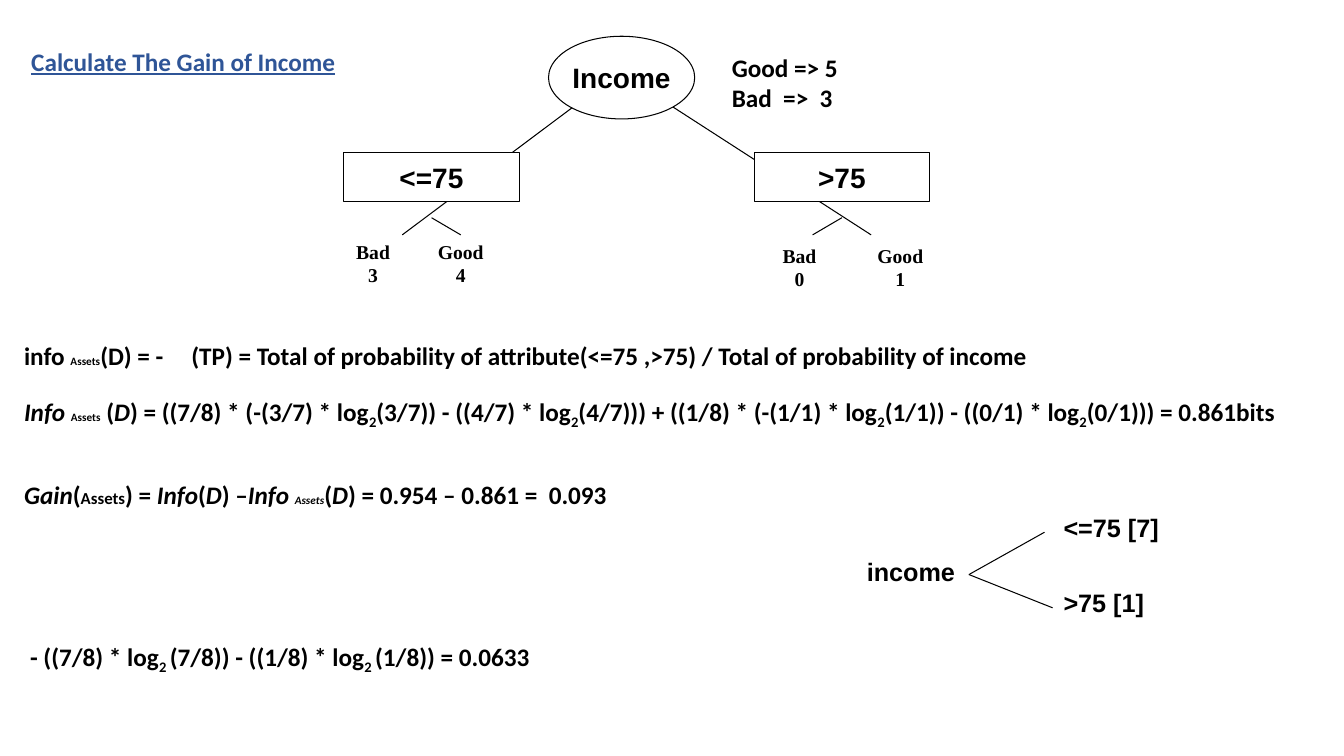
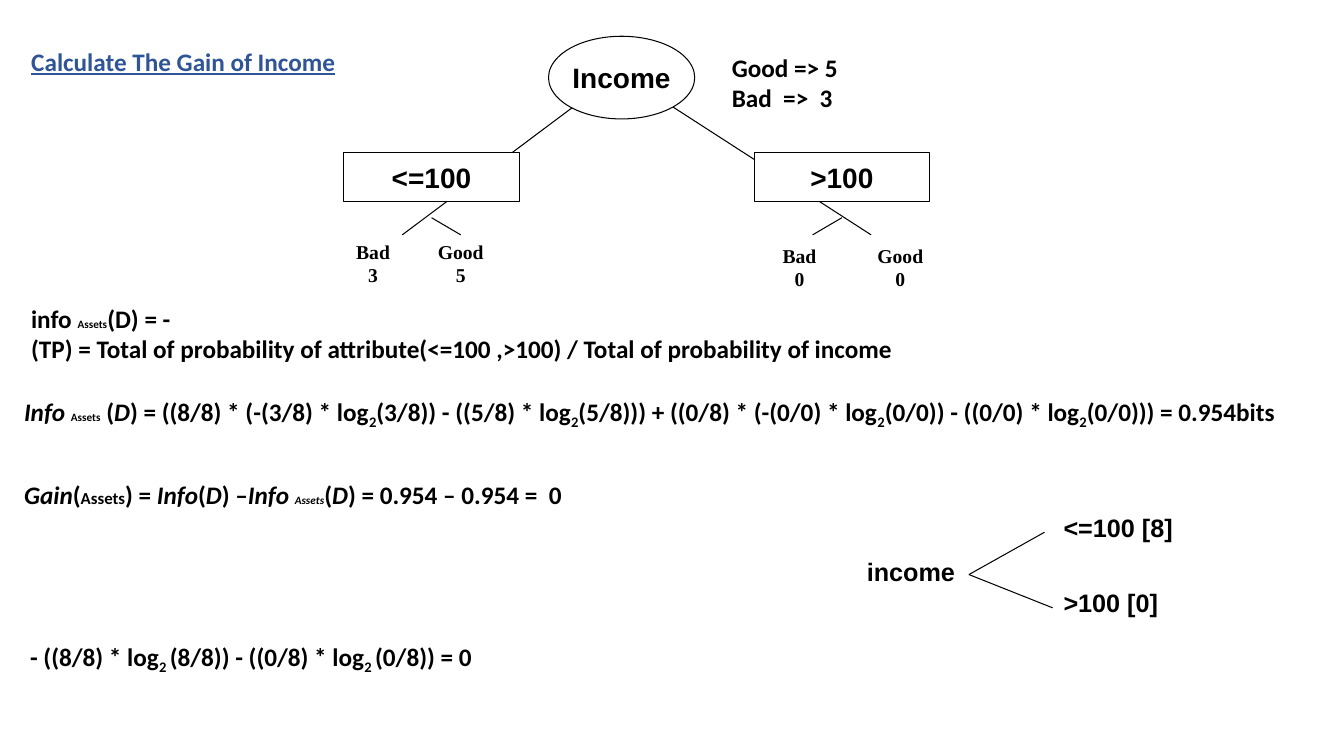
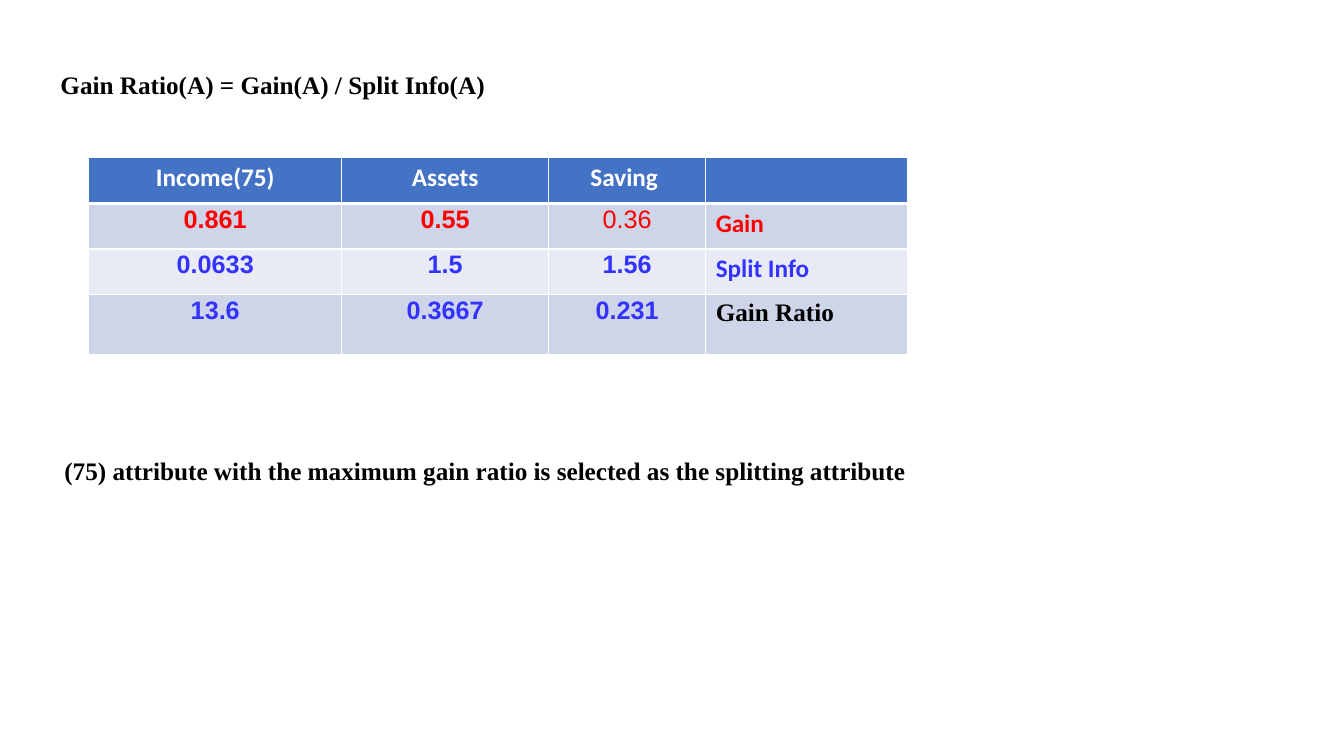
from dataclasses import dataclass

from lxml.etree import SubElement
from pptx import Presentation
from pptx.dml.color import RGBColor
from pptx.enum.shapes import MSO_CONNECTOR, MSO_SHAPE
from pptx.enum.text import MSO_ANCHOR as Anchor, MSO_AUTO_SIZE as AutoSize, PP_ALIGN as Align
from pptx.oxml.ns import qn
from pptx.util import Inches, Pt


@dataclass(frozen=True)
class Theme:
    black: str = "000000"
    white: str = "FFFFFF"
    heading: str = "2F5597"
    header: str = "4472C4"
    band_dark: str = "CFD5E9"
    band_light: str = "E8EBF4"
    red: str = "FF0000"
    blue: str = "3333FF"
    body: str = "Calibri"
    sans: str = "Arial"
    serif: str = "Times New Roman"
    node: int = 20
    text: int = 18
    leaf: int = 14
    small: int = 12
    tiny: int = 8
    thin: float = 0.75
    border: float = 0.96
    header_rule: float = 3


THEME = Theme()

# The first character of a piece between bars chooses its format.
MARKS = {
    "~": {"italic": True},
    "_": {"baseline": -25},
    "#": {"size": THEME.small},
    "^": {"size": THEME.tiny},
    "%": {"size": THEME.tiny, "italic": True},
}


@dataclass(frozen=True)
class Split:
    """An income limit, its class counts and the results worked out from them."""
    limit: int
    low_bad: int
    low_good: int
    high_bad: int
    high_good: int
    info: str
    gain: str
    split_info: str

    @property
    def low(self):
        return self.low_bad + self.low_good

    @property
    def high(self):
        return self.high_bad + self.high_good

    @property
    def total(self):
        return self.low + self.high


class SlideBuilder:
    def __init__(self, deck, theme):
        self.deck = deck
        self.theme = theme
        self.page = None

    def start(self):
        self.page = self.deck.slides.add_slide(self.deck.slide_layouts[5])

    def fill_frame(self, frame, lines, align=Align.LEFT, anchor=Anchor.TOP, wrap=True, spacing=None,
                   **style):
        """Set up a text frame and fill it with lines of marked pieces."""
        settings = {"word_wrap": wrap, "auto_size": AutoSize.NONE, "vertical_anchor": anchor}
        for name, value in settings.items():
            setattr(frame, name, value)
        self.fill_lines(frame, lines, align, spacing, **style)

    def fill_lines(self, frame, lines, align=Align.LEFT, spacing=None, **style):
        base = {"name": self.theme.body, "size": self.theme.text, "bold": True,
                "color": self.theme.black} | style
        for number, line in enumerate(lines):
            para = frame.add_paragraph() if number else frame.paragraphs[0]
            para.alignment = align
            para.line_spacing = spacing
            for piece in line.split("|"):
                mark = MARKS.get(piece[:1])
                span = para.add_run()
                span.text = piece[1:] if mark else piece
                self.format_span(span, base | (mark or {}))

    def format_span(self, span, style):
        for name, value in style.items():
            if name == "color":
                span.font.color.rgb = RGBColor.from_string(value)
            elif name == "baseline":
                span._r.get_or_add_rPr().set("baseline", str(value * 1000))
            else:
                setattr(span.font, name, Pt(value) if name == "size" else value)

    def title(self, place, text, **style):
        holder = self.page.shapes.title
        for name, value in zip(("left", "top", "width", "height"), place):
            setattr(holder, name, Inches(value))
        self.fill_frame(holder.text_frame, [text], **style)

    def text(self, place, *lines, **style):
        box = self.page.shapes.add_textbox(*map(Inches, place))
        self.fill_frame(box.text_frame, lines, **style)
        return box

    def node(self, kind, place, text):
        """Outlined white shape of the decision tree."""
        shape = self.page.shapes.add_shape(kind, *map(Inches, place))
        shape.shadow.inherit = False
        shape.fill.solid()
        shape.fill.fore_color.rgb = RGBColor.from_string(self.theme.white)
        self.outline(shape.line)
        self.fill_frame(shape.text_frame, [text], align=Align.CENTER, anchor=Anchor.MIDDLE,
                        wrap=False, name=self.theme.sans, size=self.theme.node)

    def outline(self, line):
        line.color.rgb = RGBColor.from_string(self.theme.black)
        line.width = Pt(self.theme.thin)

    def line(self, *ends):
        link = self.page.shapes.add_connector(MSO_CONNECTOR.STRAIGHT, *map(Inches, ends))
        self.outline(link.line)
        SubElement(link._element.spPr, qn("a:effectLst"))

    def tab_stop(self, box, position):
        props = box.text_frame.paragraphs[0]._p.get_or_add_pPr()
        tabs = SubElement(props, qn("a:tabLst"))
        SubElement(tabs, qn("a:tab"), pos=str(Inches(position)), algn="l")

    def table(self, left, top, widths, heights, rows):
        """Rows are (fill, cells), each cell a text and its style."""
        size = map(Inches, (left, top, sum(widths), sum(heights)))
        grid = self.page.shapes.add_table(len(rows), len(widths), *size).table
        grid.horz_banding = False
        for column, width in zip(grid.columns, widths):
            column.width = Inches(width)
        for index, (height, (fill, cells)) in enumerate(zip(heights, rows)):
            grid.rows[index].height = Inches(height)
            for cell, (text, style) in zip(grid.rows[index].cells, cells):
                self.cell_borders(cell, index == 0)
                cell.fill.solid()
                cell.fill.fore_color.rgb = RGBColor.from_string(fill)
                if style.get("name") == self.theme.sans:
                    cell.margin_top = Inches(0.02)
                if text:
                    self.fill_lines(cell.text_frame, [text], **style)

    def cell_borders(self, cell, is_header):
        widths = dict.fromkeys(("lnL", "lnR", "lnT", "lnB"), self.theme.border)
        if is_header:
            widths["lnB"] = self.theme.header_rule
        else:
            del widths["lnT"]
        props = cell._tc.get_or_add_tcPr()
        for side, width in widths.items():
            edge = SubElement(props, qn(f"a:{side}"), w=str(Pt(width)))
            paint = SubElement(edge, qn("a:solidFill"))
            SubElement(paint, qn("a:srgbClr"), val=self.theme.white)


def entropy_term(first, second, total):
    count = first + second
    return (f"(({count}/{total}) * (-({first}/{count}) * log|_2|({first}/{count}))"
            f" - (({second}/{count}) * log|_2|({second}/{count})))")


def draw_tree(slide, split):
    slide.line(6.61, 1.02, 8.64, 2.33)
    slide.line(5.74, 1.02, 3.99, 2.33)
    slide.node(MSO_SHAPE.OVAL, (5.44, 0.36, 1.45, 0.82), "Income")
    for left, sign in ((3.41, "<="), (7.48, ">")):
        slide.node(MSO_SHAPE.RECTANGLE, (left, 1.51, 1.74, 0.49), f"{sign}{split.limit}")
    slide.line(4.28, 2.16, 4.57, 2.33)
    slide.line(8.35, 2.16, 8.06, 2.33)
    leaves = ((3.12, 2.33, "Bad", split.low_bad), (3.99, 2.33, "Good", split.low_good),
              (7.35, 2.37, "Bad", split.high_bad), (8.35, 2.37, "Good", split.high_good))
    for left, top, label, count in leaves:
        slide.text((left, top, 1.16, 0.66), label, str(count), align=Align.CENTER,
                   name=THEME.serif, size=THEME.leaf)


def draw_branches(slide, split):
    sans = {"name": THEME.sans}
    slide.text((8.25, 5.47, 1.57, 0.4), "income", align=Align.CENTER, **sans)
    slide.line(9.61, 5.7, 10.36, 5.28)
    slide.line(9.61, 5.7, 10.44, 6.03)
    for top, sign, count in ((5.03, "<=", split.low), (5.78, ">", split.high)):
        slide.text((10.45, top, 1.3, 0.4), f"{sign}{split.limit} [{count}]", **sans)


def gain_slide(slide, split, definition_on_one_line):
    slide.start()
    slide.title((0.21, 0.41, 3.54, 0.7), "Calculate The Gain of Income",
                color=THEME.heading, underline=True)
    draw_tree(slide, split)
    slide.text((7.16, 0.47, 1.88, 0.7), "Good => 5", "Bad  =>  3")

    info = "info |^Assets|(D) = -"
    meaning = (f"(TP) = Total of probability of attribute(<={split.limit} ,>{split.limit})"
               " / Total of probability of income")
    if definition_on_one_line:
        box = slide.text((0.14, 3.33, 13.05, 0.7), f"{info}\t{meaning}")
        slide.tab_stop(box, 1.66)
    else:
        slide.text((0.21, 2.96, 13.05, 0.7), info, meaning)

    low = entropy_term(split.low_bad, split.low_good, split.total)
    high = entropy_term(split.high_good, split.high_bad, split.total)
    slide.text((0.14, 3.88, 12.76, 1.08),
               f"~Info |^Assets| (|~D|) = {low} + {high} = {split.info}bits")
    slide.text((0.14, 4.71, 6.67, 0.7),
               "~Gain|(|#Assets|) = |~Info|(|~D|) –|~Info |%Assets|(|~D|)"
               f" = 0.954 – {split.info} =  {split.gain}")
    draw_branches(slide, split)
    terms = [f"- (({count}/{split.total}) * log|_2 |({count}/{split.total}))"
             for count in (split.low, split.high)]
    slide.text((0.2, 6.31, 9.84, 0.44), f"{' '.join(terms)} = {split.split_info}")


def ratio_slide(slide):
    serif = {"name": THEME.serif, "spacing": 1.1}
    slide.start()
    slide.title((0.5, 0.61, 6.17, 0.43), "Gain Ratio(A) = Gain(A) / Split Info(A)", **serif)

    header = {"align": Align.CENTER, "color": THEME.white}
    names = ("Income(75)", "Assets", "Saving ", "")
    rows = [(THEME.header, [(name, header) for name in names])]
    measures = (
        (THEME.band_dark, THEME.red, ("0.861", "0.55", "0.36"), "Gain", {"color": THEME.red}),
        (THEME.band_light, THEME.blue, ("0.0633", "1.5", "1.56"), "Split Info", {"color": THEME.blue}),
        (THEME.band_dark, THEME.blue, ("13.6", "0.3667", "0.231"), "Gain Ratio", {"name": THEME.serif}),
    )
    for fill, color, values, label, label_style in measures:
        number = {"align": Align.CENTER, "name": THEME.sans, "color": color}
        cells = [(value, number | {"bold": value != "0.36"}) for value in values]
        rows.append((fill, cells + [(label, label_style)]))
    slide.table(0.88, 1.56, (2.51, 2.05, 1.56, 2), (0.46, 0.45, 0.45, 0.6), rows)

    slide.text((0.54, 4.44, 10.83, 0.43),
               "(75) attribute with the maximum gain ratio is selected as the splitting attribute",
               **serif)


def main():
    deck = Presentation()
    deck.slide_width, deck.slide_height = Inches(13.33), Inches(7.5)
    slide = SlideBuilder(deck, THEME)
    gain_slide(slide, Split(75, 3, 4, 0, 1, "0.861", "0.093", "0.0633"), True)
    gain_slide(slide, Split(100, 3, 5, 0, 0, "0.954", "0", "0"), False)
    ratio_slide(slide)
    deck.save("out.pptx")


if __name__ == "__main__":
    main()
